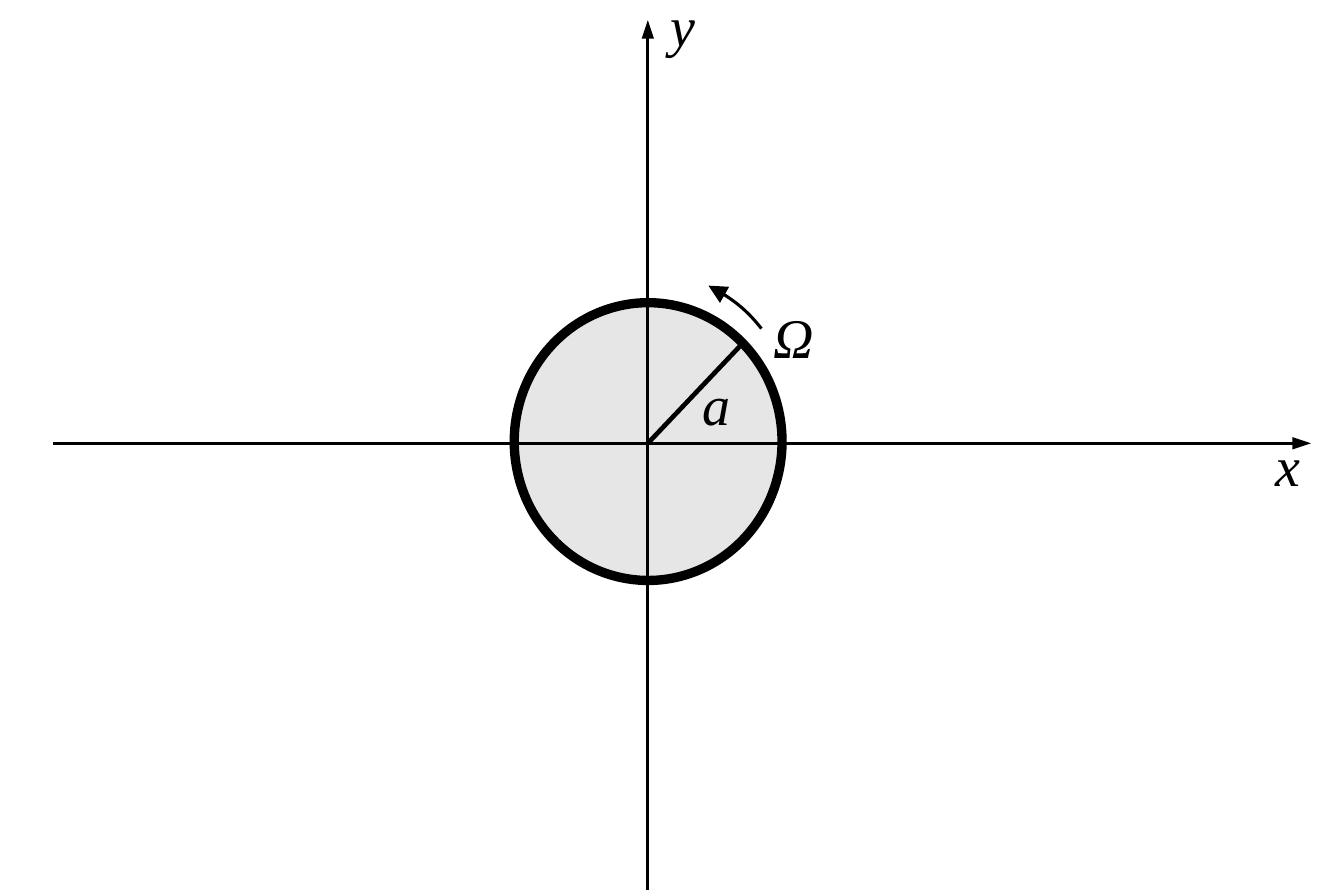
from dataclasses import dataclass
from typing import NamedTuple

from lxml.etree import SubElement
from pptx import Presentation
from pptx.dml.color import RGBColor
from pptx.enum.shapes import MSO_CONNECTOR, MSO_SHAPE
from pptx.enum.text import MSO_AUTO_SIZE, PP_ALIGN
from pptx.oxml.ns import qn
from pptx.util import Pt


@dataclass(frozen=True)
class Theme:
    ink: RGBColor = RGBColor(0x00, 0x00, 0x00)
    disk: RGBColor = RGBColor(0xE7, 0xE6, 0xE6)
    font: str = "Times New Roman"
    label_size: float = 18
    thin: float = 1
    medium: float = 1.5
    thick: float = 3


class Label(NamedTuple):
    text: str
    left: float
    top: float
    width: float


class Segment(NamedTuple):
    x1: float
    y1: float
    x2: float
    y2: float
    weight: float
    arrow: bool


class Ellipse(NamedTuple):
    left: float
    top: float
    width: float
    height: float


THEME = Theme()
CENTER_X, CENTER_Y = 208.25, 142.5
LABEL_HEIGHT = 29.08
ARC_DEGREES = (298.55, 324.26)
ADJUSTMENT_PER_DEGREE = 0.6

AXIS_LABELS = [
    Label("y", 208.2, -6.5, 22.4),
    Label("x", 402.6, 134.8, 22.4),
]
DISK_LABELS = [
    Label("a", 218.5, 115.4, 23.4),
    Label("Ω", 241.2, 93.6, 27.4),
]
AXES = [
    Segment(CENTER_X, 286, CENTER_X, 6.5, THEME.thin, True),
    Segment(17, CENTER_Y, 421.4, CENTER_Y, THEME.thin, True),
]
RADIUS = Segment(CENTER_X, CENTER_Y, 238.7, 110.4, THEME.medium, False)
DISK = Ellipse(165.3, 97.3, 86.1, 89.3)
ROTATION = Ellipse(154.1, 86.4, 100.8, 96.5)


def style_line(line, weight: float) -> None:
    line.color.rgb = THEME.ink
    line.width = Pt(weight)


def add_arrowhead(sp, end: str, width: str) -> None:
    ln = sp.line._get_or_add_ln()
    SubElement(ln, qn(f"a:{end}"), type="triangle", w=width, len="med")


def draw_label(shapes, label: Label) -> None:
    sp = shapes.add_textbox(
        Pt(label.left), Pt(label.top), Pt(label.width), Pt(LABEL_HEIGHT)
    )
    tf = sp.text_frame
    tf.text = label.text
    tf.word_wrap = False
    tf.auto_size = MSO_AUTO_SIZE.SHAPE_TO_FIT_TEXT
    p = tf.paragraphs[0]
    p.alignment = PP_ALIGN.RIGHT
    font = p.runs[0].font
    font.name = THEME.font
    font.size = Pt(THEME.label_size)
    font.italic = True
    font.color.rgb = THEME.ink


def draw_segment(shapes, seg: Segment) -> None:
    sp = shapes.add_connector(
        MSO_CONNECTOR.STRAIGHT, Pt(seg.x1), Pt(seg.y1), Pt(seg.x2), Pt(seg.y2)
    )
    style_line(sp.line, seg.weight)
    if seg.arrow:
        add_arrowhead(sp, "tailEnd", "sm")
    SubElement(sp._element.spPr, qn("a:effectLst"))


def draw_ellipse(shapes, kind: MSO_SHAPE, box: Ellipse, weight: float):
    sp = shapes.add_shape(kind, *(Pt(v) for v in box))
    sp.shadow.inherit = False
    style_line(sp.line, weight)
    return sp


def draw_disk(shapes) -> None:
    sp = draw_ellipse(shapes, MSO_SHAPE.OVAL, DISK, THEME.thick)
    sp.fill.solid()
    sp.fill.fore_color.rgb = THEME.disk


def draw_rotation(shapes) -> None:
    sp = draw_ellipse(shapes, MSO_SHAPE.ARC, ROTATION, THEME.thin)
    sp.fill.background()
    for i, degrees in enumerate(ARC_DEGREES):
        sp.adjustments[i] = degrees * ADJUSTMENT_PER_DEGREE
    add_arrowhead(sp, "headEnd", "med")


def main() -> None:
    prs = Presentation()
    prs.slide_width, prs.slide_height = Pt(432), Pt(288)
    s = prs.slides.add_slide(prs.slide_layouts[6])
    for label in AXIS_LABELS:
        draw_label(s.shapes, label)
    draw_disk(s.shapes)
    for axis in AXES:
        draw_segment(s.shapes, axis)
    for label in DISK_LABELS:
        draw_label(s.shapes, label)
    draw_rotation(s.shapes)
    draw_segment(s.shapes, RADIUS)
    prs.save("out.pptx")


main()
